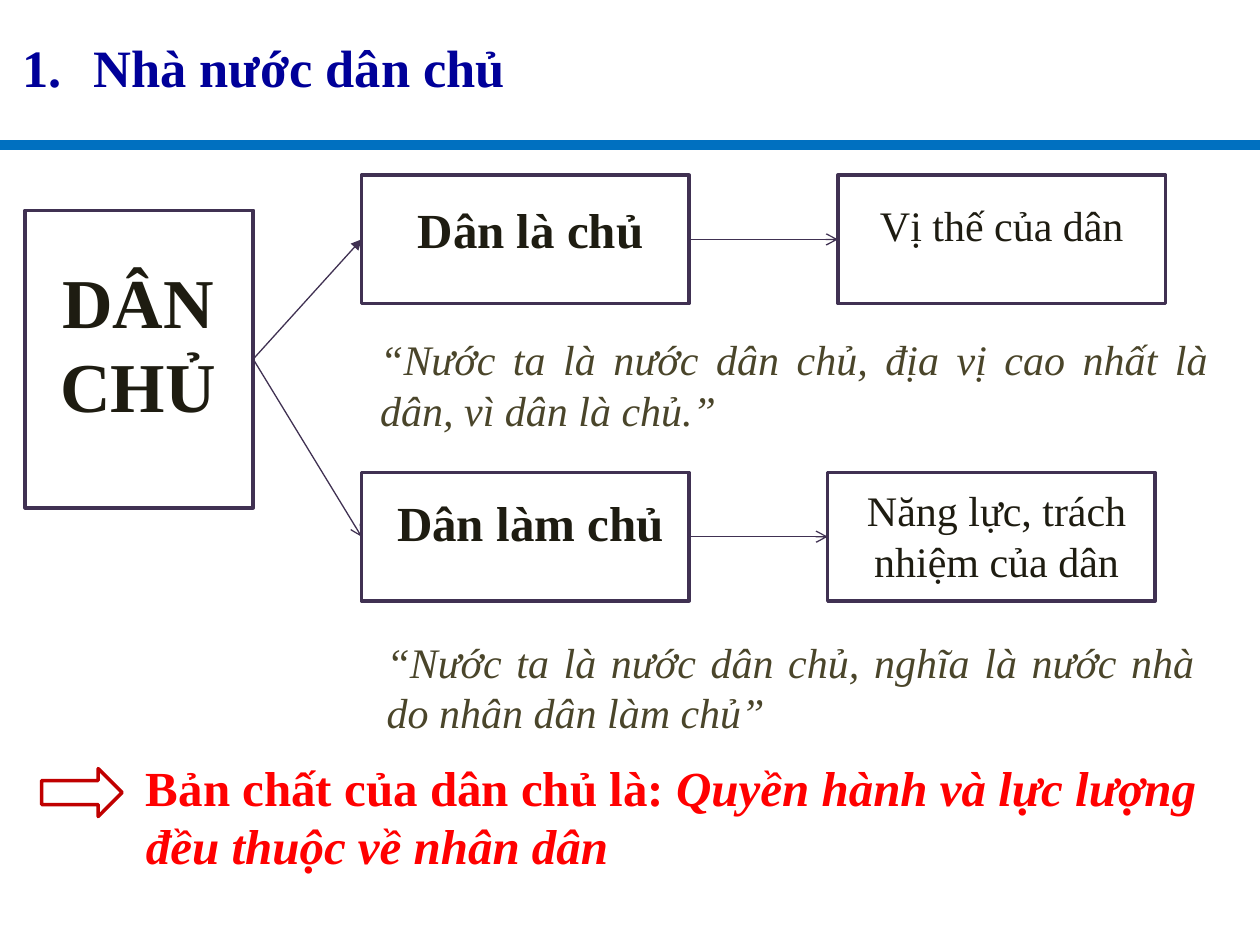
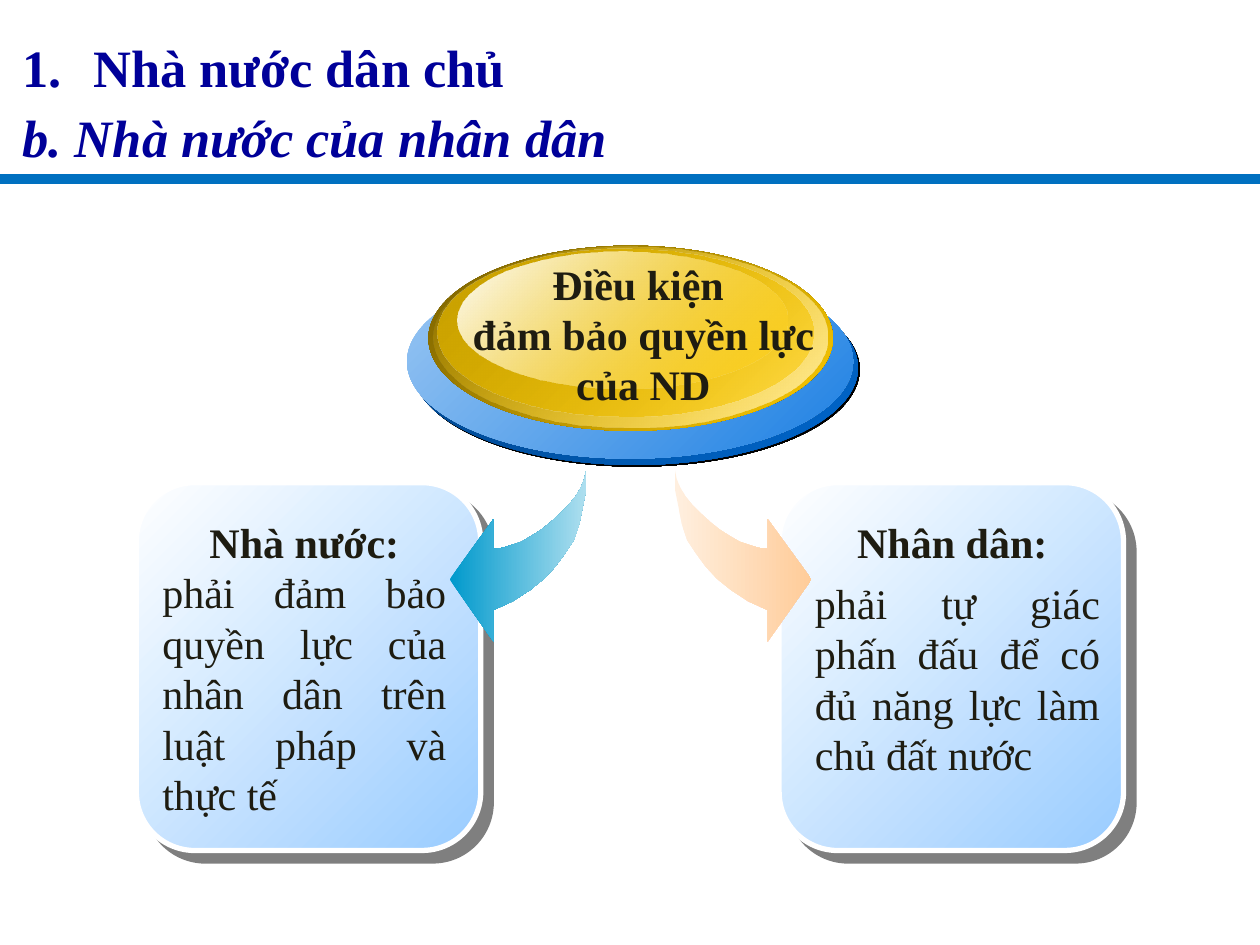
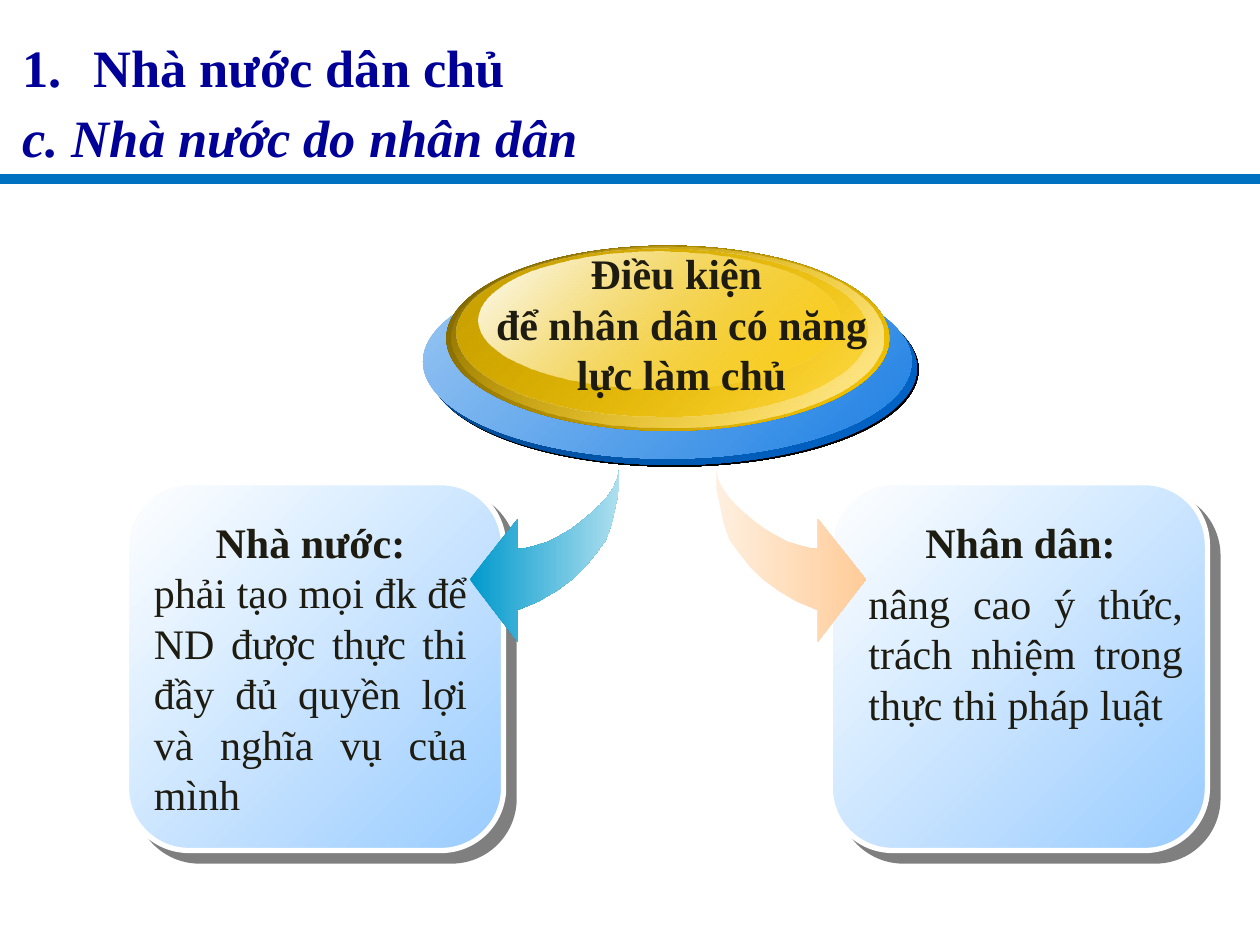
from lxml.etree import SubElement
from pptx import Presentation
from pptx.dml.color import RGBColor
from pptx.enum.shapes import MSO_CONNECTOR, MSO_SHAPE
from pptx.enum.text import PP_ALIGN
from pptx.oxml.ns import qn
from pptx.util import Pt

FONT = "Times New Roman"
NAVY = RGBColor(0x00, 0x00, 0x99)
RULE_BLUE = RGBColor(0x00, 0x70, 0xC0)
PURPLE = RGBColor(0x40, 0x31, 0x52)
INK = RGBColor(0x1E, 0x1C, 0x11)
OLIVE = RGBColor(0x4A, 0x45, 0x2A)
RED = RGBColor(0xFF, 0x00, 0x00)
DARK_RED = RGBColor(0xC0, 0x00, 0x00)
WHITE = RGBColor(0xFF, 0xFF, 0xFF)
SKY = RGBColor(0x99, 0xCC, 0xFF)
TEAL = RGBColor(0x00, 0x99, 0xCC)
PALE_TEAL = RGBColor(0xAE, 0xDF, 0xEF)
PEACH = RGBColor(0xFF, 0xCC, 0x99)
PALE_PEACH = RGBColor(0xFF, 0xEF, 0xDF)
GOLD = RGBColor(0xFF, 0xCC, 0x00)
PALE_GOLD = RGBColor(0xFF, 0xED, 0xA6)
DEEP_GOLD = RGBColor(0xCA, 0xA2, 0x00)
BRONZE = RGBColor(0x76, 0x5E, 0x00)
DEEP_BLUE = RGBColor(0x00, 0x41, 0x82)
MID_BLUE = RGBColor(0x00, 0x66, 0xCC)
LIGHT_BLUE = RGBColor(0x9B, 0xC7, 0xF3)
BRIGHT_BLUE = RGBColor(0x1D, 0x80, 0xE3)

PAGE_W, PAGE_H = 720, 540
CENTER, JUSTIFY, LEFT = PP_ALIGN.CENTER, PP_ALIGN.JUSTIFY, PP_ALIGN.LEFT

# All boxes are (left, top, width, height) in points.
HEADING = "Nhà nước dân chủ"
ROOT_BOX = (14.4, 120.2, 130.3, 170)
ROOT_LABEL = ("DÂN CHỦ", (19.4, 144, 118.8, 103.7))
BRANCH_LEFT, BRANCH_W, BRANCH_H = 206.6, 187.2, 73.4
BRANCHES = [
    dict(top=100.1, aspect=("Dân là chủ", (218.2, 110.2, 169.9, 41)),
         meaning_left=478.8, root_arrow="triangle",
         meaning=("Vị thế của dân", (484.6, 110.2, 175.7, 36)),
         quote=("“Nước ta là nước dân chủ, địa vị cao nhất là dân, vì dân là chủ.”",
                (210.2, 187.2, 487.4, 64.8))),
    dict(top=270, aspect=("Dân làm chủ", (212.4, 277.9, 181.4, 41)),
         meaning_left=473, root_arrow="arrow",
         meaning=("Năng lực, trách nhiệm của dân", (478.8, 273.6, 181.4, 64.8)),
         quote=("“Nước ta là nước dân chủ, nghĩa là nước nhà do nhân dân làm chủ”",
                (213.8, 360, 475.9, 64.8))),
]
CONCLUSION = [("Bản chất của dân chủ là: ", {}),
              ("Quyền hành và lực lượng đều thuộc về nhân dân", {"italic": True})]

CONDITIONS = [
    dict(subtitle="b. Nhà nước của nhân dân", stretch=1, shift=0,
         topic=["Điều kiện ", "đảm bảo quyền lực của ND"],
         topic_box=(261.4, 144, 212.4, 93.6),
         state="phải đảm bảo quyền lực của nhân dân trên luật pháp và thực tế",
         people="phải tự giác phấn đấu để có đủ năng lực làm chủ đất nước"),
    dict(subtitle="c. Nhà nước do nhân dân", stretch=1.095, shift=-13,
         topic=["Điều kiện ", "để nhân dân có năng lực làm chủ"],
         topic_box=(260.6, 138.2, 257.8, 93.6),
         state="phải tạo mọi đk để ND được thực thi đầy đủ quyền lợi và nghĩa vụ của mình",
         people="nâng cao ý thức, trách nhiệm trong thực thi pháp luật"),
]

# Boxes of the condition diagram before it is stretched sideways.
CARD_TOP, CARD_W, CARD_H = 275.8, 196.8, 210.2
PEOPLE_CARD_LEFT, STATE_CARD_LEFT = 445.2, 77.9
PEOPLE_TEXT = (458.6, 291.6, 177.1, 157.7)
STATE_TEXT = (85.7, 291.6, 176.4, 180)
# Medallion layers from the back: box, two (colour, opacity) stops, shadow distance.
MEDALLION = [
    ((235.4, 154.8, 254.9, 110.9), (DEEP_BLUE, 100), (MID_BLUE, 100), 1.4),
    ((232.6, 151.2, 254.9, 110.9), (LIGHT_BLUE, 100), (BRIGHT_BLUE, 100), 0),
    ((244.8, 140.4, 231.1, 105.8), (BRONZE, 100), (GOLD, 100), 0),
    ((247.7, 141.1, 225.4, 103), (GOLD, 0), (PALE_GOLD, 100), 0),
    ((250.2, 141.8, 214.6, 96.5), (DEEP_GOLD, 100), (GOLD, 48), 0),
    ((261.4, 144, 188.6, 77.8), (WHITE, 100), (GOLD, 38), 0),
]
# Curved arrow outline: distance behind the tip, distance below the top.
ARROW_TOP = 268.6
ARROW_OUTLINE = [
    (78, 0), (78, 11), (76, 21), (74, 31), (71, 40), (66, 47.5), (60.5, 55),
    (54, 62), (46, 68.5), (36, 75), (25, 80), (25, 98), (0, 62.5), (25, 28),
    (25, 45), (30, 44.5), (35, 43), (41, 41), (47, 37.5), (52.5, 34),
    (57.5, 30), (63, 25), (68, 20), (72, 15), (75, 10), (77, 5),
]
# Tip, direction from tip to tail, left colour, right colour.
ARROWS = [(257, 1, TEAL, PALE_TEAL), (463.7, -1, PALE_PEACH, PEACH)]


def write(slide, box, paragraphs, size=24, color=INK, bold=False, italic=False,
          align=CENTER, gap=0, line_spacing=None, hanging=0, numbered=False):
    """Each paragraph is a string or a list of (text, overrides) runs."""
    frame = slide.shapes.add_textbox(*map(Pt, box)).text_frame
    frame.word_wrap = True
    for index, content in enumerate(paragraphs):
        paragraph = frame.paragraphs[0] if index == 0 else frame.add_paragraph()
        properties = paragraph._p.get_or_add_pPr()
        if hanging:
            properties.set("marL", str(Pt(hanging)))
            properties.set("indent", str(-Pt(hanging)))
        if numbered and index == 0:
            SubElement(properties, qn("a:buFont"), typeface="+mj-lt")
            SubElement(properties, qn("a:buAutoNum"), type="arabicPeriod")
        paragraph.alignment = align
        if line_spacing:
            paragraph.line_spacing = line_spacing
        if gap and index:
            paragraph.space_before = Pt(gap)
        runs = [(content, {})] if isinstance(content, str) else content
        for text, overrides in runs:
            run = paragraph.add_run()
            run.text = text
            font = run.font
            font.name, font.size = FONT, Pt(size)
            font.color.rgb = color
            font.bold = overrides.get("bold", bold)
            font.italic = overrides.get("italic", italic)


def connect(slide, start, end, color=PURPLE, width=0.75, arrow=None):
    line = slide.shapes.add_connector(MSO_CONNECTOR.STRAIGHT, *map(Pt, start + end))
    line.line.color.rgb = color
    line.line.width = Pt(width)
    properties = line.element.spPr
    if arrow:
        SubElement(properties.find(qn("a:ln")), qn("a:tailEnd"), type=arrow)
    SubElement(properties, qn("a:effectLst"))


def outline(shape, color=None, width=2):
    shape.shadow.inherit = False
    if color is None:
        shape.line.fill.background()
    else:
        shape.line.color.rgb = color
        shape.line.width = Pt(width)


def add_hollow(slide, preset, box, color):
    shape = slide.shapes.add_shape(preset, *map(Pt, box))
    shape.fill.background()
    outline(shape, color)


def shade(shape, first, last, angle):
    """Fill with a gradient between two (colour, opacity) stops, clockwise angle."""
    shape.fill.gradient()
    shape.fill.gradient_angle = -angle % 360
    for stop, (color, _) in zip(shape.fill.gradient_stops, (first, last)):
        stop.color.rgb = color
    colors = shape.element.spPr.find(qn("a:gradFill")).iter(qn("a:srgbClr"))
    for node, (_, opacity) in zip(list(colors), (first, last)):
        if opacity < 100:
            SubElement(node, qn("a:alpha"), val=str(opacity * 1000))


def cast_shadow(shape, distance, opacity):
    effects = shape.element.spPr.find(qn("a:effectLst"))
    shadow = SubElement(effects, qn("a:outerShdw"), blurRad="0", dist=str(Pt(distance)),
                        dir="2700000", algn="ctr", rotWithShape="0")
    black = SubElement(shadow, qn("a:srgbClr"), val="000000")
    SubElement(black, qn("a:alpha"), val=str(opacity * 1000))


def add_header(slide, rule_y, subtitle=None):
    connect(slide, (0, rule_y), (PAGE_W, rule_y), RULE_BLUE, 6)
    lines = [HEADING]
    if subtitle:
        lines.append([(subtitle, {"italic": True})])
    write(slide, (5.8, 13, 707.8, 46.8), lines, size=30, color=NAVY, bold=True,
          align=JUSTIFY, line_spacing=1.1, hanging=40.5, numbered=True)


def build_meaning_slide(slide):
    add_header(slide, 82.8)
    add_hollow(slide, MSO_SHAPE.RECTANGLE, ROOT_BOX, PURPLE)
    label, label_box = ROOT_LABEL
    write(slide, label_box, [label], size=40, bold=True)
    left, top, width, height = ROOT_BOX
    root_exit = (left + width, top + height / 2)
    for branch in BRANCHES:
        for box_left in (BRANCH_LEFT, branch["meaning_left"]):
            add_hollow(slide, MSO_SHAPE.RECTANGLE,
                       (box_left, branch["top"], BRANCH_W, BRANCH_H), PURPLE)
        middle = branch["top"] + BRANCH_H / 2
        connect(slide, root_exit, (BRANCH_LEFT, middle), arrow=branch["root_arrow"])
        connect(slide, (BRANCH_LEFT + BRANCH_W, middle),
                (branch["meaning_left"], middle), arrow="arrow")
        aspect, aspect_box = branch["aspect"]
        meaning, meaning_box = branch["meaning"]
        quote, quote_box = branch["quote"]
        write(slide, aspect_box, [aspect], size=28, bold=True)
        write(slide, meaning_box, [meaning])
        write(slide, quote_box, [quote], color=OLIVE, italic=True, align=JUSTIFY)
    add_hollow(slide, MSO_SHAPE.RIGHT_ARROW, (23.8, 439.2, 46, 27.4), DARK_RED)
    write(slide, (76.3, 429.1, 635, 74.9), [CONCLUSION], size=28, color=RED,
          bold=True, align=LEFT)


def build_condition_slide(slide, condition):
    stretch, shift = condition["stretch"], condition["shift"]

    def place_x(x):
        return x * stretch + shift

    def place(box):
        left, top, width, height = box
        return place_x(left), top, width * stretch, height

    def add_card(left, text_box, heading, body, gap):
        box = place((left, CARD_TOP, CARD_W, CARD_H))
        card = slide.shapes.add_shape(MSO_SHAPE.ROUNDED_RECTANGLE, *map(Pt, box))
        card.adjustments[0] = 0.17
        shade(card, (WHITE, 100), (SKY, 100), 45)
        outline(card, WHITE, 3)
        cast_shadow(card, 8.5, 50)
        left, top, width, height = place(text_box)
        write(slide, (left, top, width, height), [[(heading, {"bold": True})]])
        write(slide, (left, top + 28.8 + gap, width, height - 28.8 - gap), [body],
              align=JUSTIFY)

    add_header(slide, 102.2, condition["subtitle"])
    add_card(PEOPLE_CARD_LEFT, PEOPLE_TEXT, "Nhân dân: ", condition["people"], 6)
    add_card(STATE_CARD_LEFT, STATE_TEXT, "Nhà nước:", condition["state"], 0)
    for tip, direction, left_color, right_color in ARROWS:
        points = [(Pt(place_x(tip + direction * back)), Pt(ARROW_TOP + down))
                  for back, down in ARROW_OUTLINE]
        builder = slide.shapes.build_freeform(*points[0])
        builder.add_line_segments(points[1:], close=True)
        arrow = builder.convert_to_shape()
        shade(arrow, (left_color, 100), (right_color, 100), 0)
        outline(arrow)
    for box, first, last, shadow_distance in MEDALLION:
        layer = slide.shapes.add_shape(MSO_SHAPE.OVAL, *map(Pt, place(box)))
        shade(layer, first, last, 45)
        outline(layer)
        if shadow_distance:
            cast_shadow(layer, shadow_distance, 100)
    write(slide, condition["topic_box"], condition["topic"], bold=True)


def main():
    deck = Presentation()
    deck.slide_width, deck.slide_height = Pt(PAGE_W), Pt(PAGE_H)
    blank = deck.slide_layouts[6]
    build_meaning_slide(deck.slides.add_slide(blank))
    for condition in CONDITIONS:
        build_condition_slide(deck.slides.add_slide(blank), condition)
    deck.save("out.pptx")


if __name__ == "__main__":
    main()
